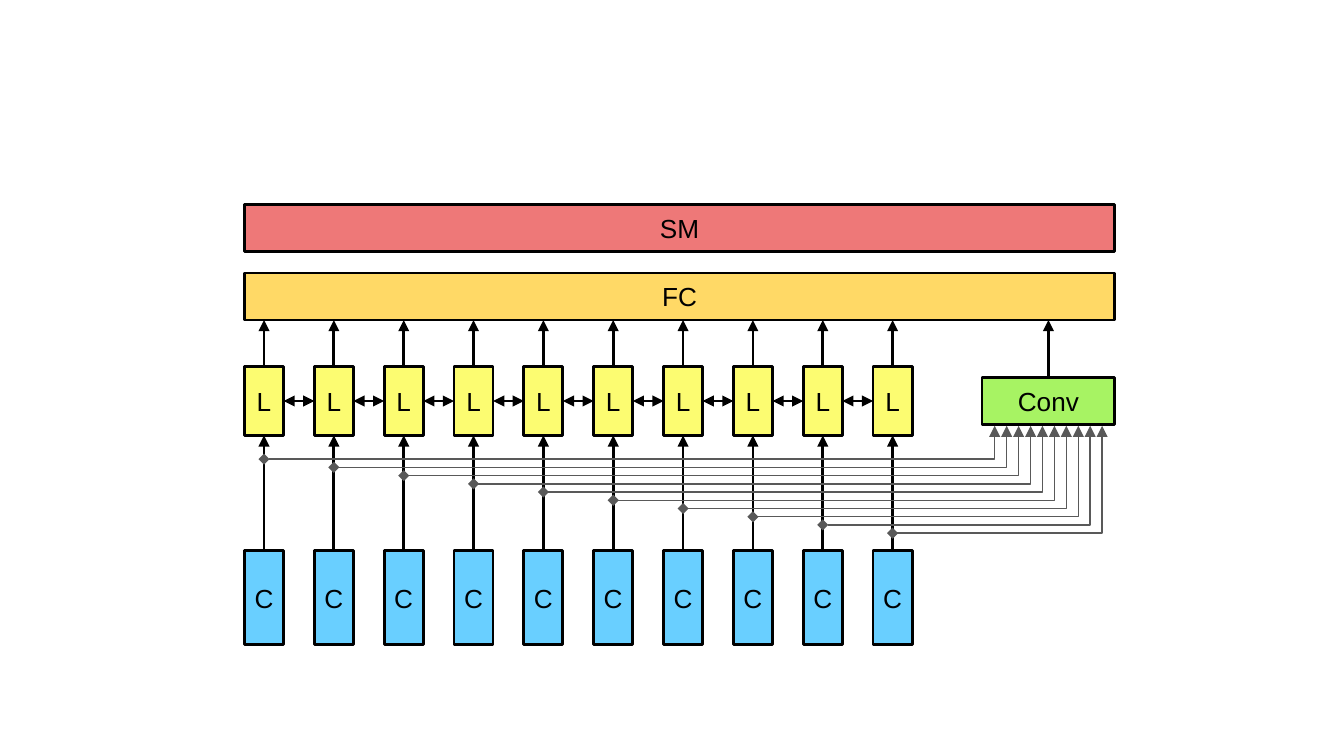
from dataclasses import dataclass
from lxml import etree
from pptx import Presentation
from pptx.dml.color import RGBColor
from pptx.enum.shapes import MSO_CONNECTOR as Link, MSO_SHAPE as Shape
from pptx.enum.text import MSO_ANCHOR as Anchor, PP_ALIGN as Align
from pptx.oxml.ns import qn
from pptx.util import Cm, Pt


@dataclass(frozen=True)
class Theme:
    font: str = "Arial"
    size: float = 14
    ink: str = "000000"
    tap: str = "595959"
    softmax: str = "EE7878"
    dense: str = "FFD966"
    lstm: str = "FCFC71"
    conv: str = "A7F363"
    char: str = "69CFFF"
    thick: float = 1.5
    thin: float = 0.75


@dataclass(frozen=True)
class Box:
    """Area in centimetres."""
    left: float
    top: float
    width: float
    height: float

    @property
    def right(self):
        return self.left + self.width

    @property
    def bottom(self):
        return self.top + self.height

    @property
    def center(self):
        return self.left + self.width / 2

    @property
    def middle(self):
        return self.top + self.height / 2


THEME = Theme()
STEPS = 10
CELL_WIDTH = 0.74


def add_block(slide, box, label, color):
    block = slide.shapes.add_shape(
        Shape.RECTANGLE, Cm(box.left), Cm(box.top), Cm(box.width), Cm(box.height))
    block.shadow.inherit = False
    block.fill.solid()
    block.fill.fore_color.rgb = RGBColor.from_string(color)
    block.line.color.rgb = RGBColor.from_string(THEME.ink)
    block.line.width = Pt(THEME.thick)
    frame = block.text_frame
    frame.margin_left = frame.margin_right = frame.margin_top = frame.margin_bottom = 0
    frame.vertical_anchor = Anchor.MIDDLE
    caption = frame.paragraphs[0]
    caption.text = label
    caption.alignment = Align.CENTER
    caption.font.name = THEME.font
    caption.font.size = Pt(THEME.size)
    caption.font.color.rgb = RGBColor.from_string(THEME.ink)


def add_arrow(slide, start, end, width, color=THEME.ink, head=None, kind=Link.STRAIGHT):
    arrow = slide.shapes.add_connector(kind, *(Cm(value) for value in (*start, *end)))
    arrow.line.color.rgb = RGBColor.from_string(color)
    arrow.line.width = Pt(width)
    stroke = arrow.line._get_or_add_ln()
    if head:
        etree.SubElement(stroke, qn("a:headEnd"), type=head)
    etree.SubElement(stroke, qn("a:tailEnd"), type="triangle")
    etree.SubElement(arrow._element.spPr, qn("a:effectLst"))
    return arrow


def add_tap(slide, start, end):
    """Route across first, then up at the far end."""
    tap = add_arrow(slide, start, end, THEME.thin, THEME.tap, "diamond", Link.ELBOW)
    geometry = tap._element.spPr.find(qn("a:prstGeom"))
    guides = geometry.find(qn("a:avLst"))
    if guides is None:
        guides = etree.SubElement(geometry, qn("a:avLst"))
    etree.SubElement(guides, qn("a:gd"), name="adj1", fmla="val 100000")


def spread(first, last):
    return [first + (last - first) * i / (STEPS - 1) for i in range(STEPS)]


def add_cells(slide, box, label, color):
    """Fill the row with equal cells and return their boxes."""
    cells = [Box(left, box.top, CELL_WIDTH, box.height)
             for left in spread(box.left, box.right - CELL_WIDTH)]
    for cell in cells:
        add_block(slide, cell, label, color)
    return cells


def add_output_layers(slide, box):
    height = 0.89
    dense = Box(box.left, box.bottom - height, box.width, height)
    add_block(slide, Box(box.left, box.top, box.width, height), "SM", THEME.softmax)
    add_block(slide, dense, "FC", THEME.dense)
    return dense


def add_lstm_row(slide, box, dense):
    cells = add_cells(slide, box, "L", THEME.lstm)
    for cell in cells:
        add_arrow(slide, (cell.center, cell.top), (cell.center, dense.bottom), THEME.thick)
    for cell, following in zip(cells, cells[1:]):
        add_arrow(slide, (cell.right, cell.middle), (following.left, cell.middle),
                  THEME.thin, head="triangle")


def add_char_row(slide, box, lstm_row):
    cells = add_cells(slide, box, "C", THEME.char)
    for cell in cells:
        add_arrow(slide, (cell.center, cell.top), (cell.center, lstm_row.bottom), THEME.thick)
    return cells


def add_conv(slide, box, dense, chars):
    add_block(slide, box, "Conv", THEME.conv)
    add_arrow(slide, (box.center, box.top), (box.center, dense.bottom), THEME.thick)
    # One tap from each character into the convolution
    inset = 0.24
    heights = spread(box.bottom + 0.65, box.bottom + 2.05)
    ports = spread(box.left + inset, box.right - inset)
    for char, height, port in zip(chars, heights, ports):
        add_tap(slide, (char.center, height), (port, box.bottom + 0.02))


def main():
    deck = Presentation()
    deck.slide_width, deck.slide_height = Cm(25.4), Cm(14.29)
    slide = deck.slides.add_slide(deck.slide_layouts[6])

    lstm_row = Box(4.62, 6.93, 12.62, 1.3)
    dense = add_output_layers(slide, Box(4.62, 3.86, 16.45, 2.19))
    add_lstm_row(slide, lstm_row, dense)
    chars = add_char_row(slide, Box(4.62, 10.41, 12.62, 1.78), lstm_row)
    add_conv(slide, Box(18.56, 7.14, 2.51, 0.89), dense, chars)

    deck.save("out.pptx")


if __name__ == "__main__":
    main()
